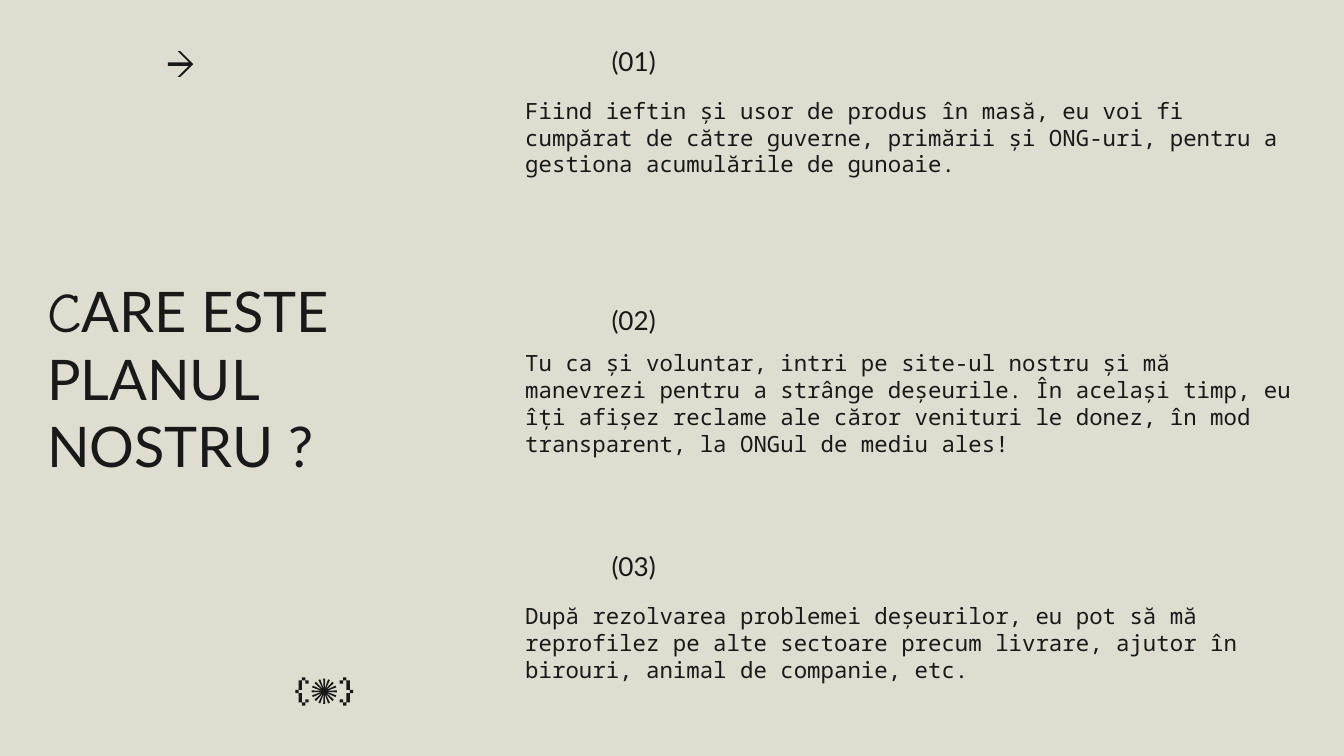
from collections import namedtuple
from dataclasses import dataclass
from math import cos, pi, sin

from pptx import Presentation
from pptx.dml.color import RGBColor as Color
from pptx.enum.text import MSO_ANCHOR as Anchor, MSO_AUTO_SIZE as Fit, PP_ALIGN as Align
from pptx.util import Pt

Box = namedtuple("Box", "x y w h")


@dataclass(frozen=True)
class Theme:
    back: Color = Color.from_string("DFDCD0")
    ink: Color = Color.from_string("191919")
    head: str = "Lato"
    cap: str = "Comic Neue"
    body: str = "Noto Sans Mono"
    big: float = 30
    mid: float = 14
    small: float = 12


THEME = Theme()

STEPS = [
    ("(01)", Anchor.BOTTOM,
     "Fiind ieftin și usor de produs în masă, eu voi fi cumpărat de către "
     "guverne, primării și ONG-uri, pentru a gestiona acumulările de gunoaie."),
    ("(02)", Anchor.MIDDLE,
     "Tu ca și voluntar, intri pe site-ul nostru și mă manevrezi pentru a "
     "strânge deșeurile. În același timp, eu îți afișez reclame ale căror "
     "venituri le donez, în mod transparent, la ONGul de mediu ales!"),
    ("(03)", Anchor.BOTTOM,
     "După rezolvarea problemei deșeurilor, eu pot să mă reprofilez pe alte "
     "sectoare precum livrare, ajutor în birouri, animal de companie, etc."),
]

ARROW = [(0, 7.9), (11.2, 7.9), (5.2, 13.9), (6.6, 13.9), (13.6, 7),
         (6.6, 0), (5.2, 0), (11.2, 6), (0, 6)]

BRACE = [(1, 9), (1, 8), (0, 8), (0, 7), (1, 7), (1, 8), (2, 8), (2, 5),
         (3, 5), (3, 4), (2, 4), (2, 1), (1, 1), (1, 2), (0, 2), (0, 1),
         (1, 1), (1, 0), (2, 0), (2, 1), (3, 1), (3, 4), (4, 4), (4, 5),
         (3, 5), (3, 8), (2, 8), (2, 9)]


def style(font, name, size):
    font.name = name
    font.size = Pt(size)
    font.bold = False
    font.color.rgb = THEME.ink


def place(shape, box):
    shape.left, shape.top, shape.width, shape.height = map(Pt, box)


def setup(frame, anchor):
    frame.word_wrap = True
    frame.auto_size = Fit.NONE
    frame.vertical_anchor = anchor
    frame.margin_left = frame.margin_right = Pt(7.2)
    frame.margin_top = frame.margin_bottom = Pt(7.2)


def label(slide, box, text, name, size, anchor=Anchor.TOP, align=Align.LEFT):
    frame = slide.shapes.add_textbox(*map(Pt, box)).text_frame
    setup(frame, anchor)
    para = frame.paragraphs[0]
    para.text = text
    para.alignment = align
    style(para.font, name, size)


def outline(shapes, box, points):
    spots = [(100 * (box.x + x), 100 * (box.y + y)) for x, y in points]
    pen = shapes.build_freeform(*spots[0], scale=Pt(1) / 100)
    pen.add_line_segments(spots[1:], close=True)
    shape = pen.convert_to_shape()
    shape.shadow.inherit = False
    shape.fill.solid()
    shape.fill.fore_color.rgb = THEME.ink
    shape.line.fill.background()


def title(slide, box):
    shape = slide.shapes.title
    place(shape, box)
    setup(shape.text_frame, Anchor.MIDDLE)
    para = shape.text_frame.paragraphs[0]
    para.alignment = Align.LEFT
    for text, name in [("C", THEME.cap), ("ARE ESTE PLANUL NOSTRU ?", THEME.head)]:
        run = para.add_run()
        run.text = text
        style(run.font, name, THEME.big)


def step(slide, box, mark, anchor, text):
    label(slide, Box(box.x, box.y, 84.2, 24.5), mark,
          THEME.head, THEME.mid, anchor, Align.RIGHT)
    label(slide, Box(box.x, box.y + 20.9, box.w, box.h - 20.9), text,
          THEME.body, THEME.small)


def burst(size, rays=16):
    mid = size / 2
    turn = 2 * pi / rays
    points = []
    for ray in range(rays):
        for shift, reach in [(-0.2, mid), (0.2, mid), (0.5, 1.5)]:
            angle = (ray + shift) * turn
            points.append((mid + reach * sin(angle), mid - reach * cos(angle)))
    return points


def badge(slide, box):
    group = slide.shapes.add_group_shape().shapes
    wide, tall = 1.8, box.h / 9
    right = [(x * wide, y * tall) for x, y in BRACE]
    left = [(4 * wide - x, y) for x, y in right]
    size = 13.6
    outline(group, box._replace(x=box.x + (box.w - size) / 2,
                                y=box.y + (box.h - size) / 2), burst(size))
    outline(group, box._replace(x=box.x + box.w - 4 * wide), right)
    outline(group, box, left)


def main():
    deck = Presentation()
    deck.slide_width, deck.slide_height = Pt(720), Pt(405)
    slide = deck.slides.add_slide(deck.slide_layouts[5])
    slide.background.fill.solid()
    slide.background.fill.fore_color.rgb = THEME.back
    title(slide, Box(18, 110.2, 213.8, 184.3))
    for row, item in enumerate(STEPS):
        step(slide, Box(274.3, 23.8 + 135.3 * row, 427.7, 88.6), *item)
    outline(slide.shapes, Box(90, 27.4, 13.6, 13.9), ARROW)
    badge(slide, Box(158.2, 362.9, 31, 15.1))
    deck.save("out.pptx")


if __name__ == "__main__":
    main()
